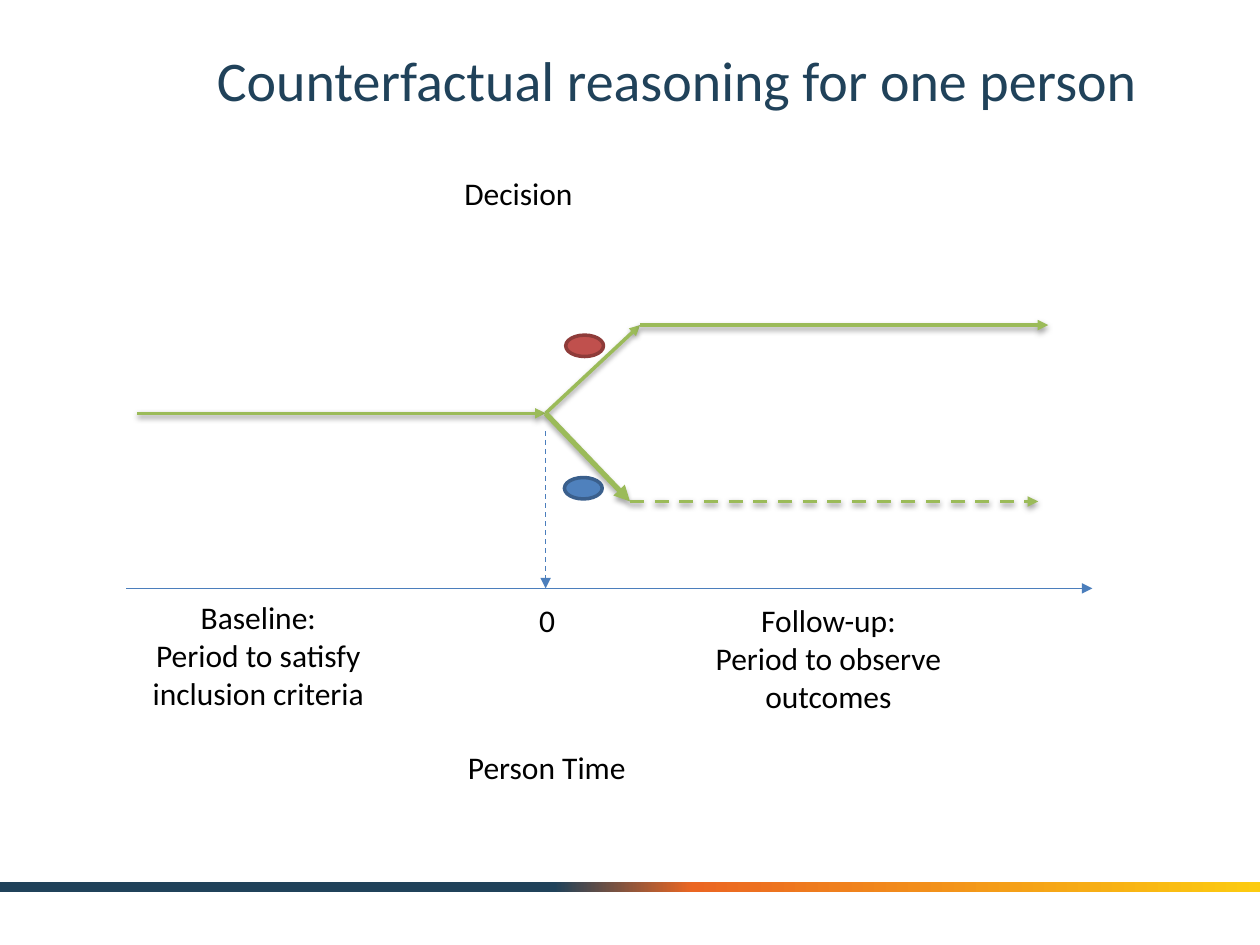
import pptx
import pptx.dml.color
import pptx.enum.dml
import pptx.enum.shapes
import pptx.enum.text
import pptx.oxml.ns
import pptx.util
from lxml import etree

Inches = pptx.util.Inches
Pt = pptx.util.Pt
SHAPE = pptx.enum.shapes.MSO_SHAPE
ALIGN = pptx.enum.text.PP_ALIGN
ANCHOR = pptx.enum.text.MSO_ANCHOR
DASH = pptx.enum.dml.MSO_LINE.DASH
NAVY, GREEN, BLUE = "20425A", "9BBB59", "4B7EBC"


def rgb(value):
    """Turn a hex string into a colour."""
    return pptx.dml.color.RGBColor.from_string(value)


def sub(parent, tag, **attrs):
    """Append a DrawingML element and return it."""
    return etree.SubElement(parent, pptx.oxml.ns.qn("a:" + tag),
                            {k: str(v) for k, v in attrs.items()})


def sub_color(parent, value, **changes):
    """Append a hex colour with optional changes such as alpha."""
    color = sub(parent, "srgbClr", val=value)
    for tag, val in changes.items():
        sub(color, tag, val=val)


def add_text(s, box, lines, size=18, color="000000", align=ALIGN.CENTER, anchor=ANCHOR.TOP):
    """Place a wrapped text box with one paragraph per line."""
    tf = s.shapes.add_textbox(*map(Inches, box)).text_frame
    tf.word_wrap = True
    tf.vertical_anchor = anchor
    tf.text = "\n".join(lines)
    for p in tf.paragraphs:
        p.alignment = align
        for r in p.runs:
            for key, val in {"name": "Calibri", "size": Pt(size)}.items():
                setattr(r.font, key, val)
            r.font.color.rgb = rgb(color)


def add_arrow(s, start, end, color, width, dash=None, shadow=None):
    """Draw an arrow, with a soft shadow if given its distance and alpha."""
    line = s.shapes.add_connector(pptx.enum.shapes.MSO_CONNECTOR.STRAIGHT,
                                  *map(Inches, (*start, *end)))
    line.line.color.rgb = rgb(color)
    line.line.width = Pt(width)
    if dash:
        line.line.dash_style = dash
    sp_pr = line._element.spPr
    sub(line.line._get_or_add_ln(), "tailEnd", type="triangle")
    effects = sub(sp_pr, "effectLst")
    if shadow:
        distance, alpha = shadow
        outer = sub(effects, "outerShdw", blurRad=Pt(3.1), dist=Pt(distance),
                    dir=5400000, rotWithShape=0)
        sub_color(outer, "000000", alpha=alpha * 1000)


def add_pill(s, x, y, fill, line):
    """Draw one outlined treatment pill."""
    sp = s.shapes.add_shape(SHAPE.OVAL, *map(Inches, (x, y, 0.3, 0.17)))
    sp.shadow.inherit = False
    sp.fill.solid()
    sp.fill.fore_color.rgb = rgb(fill)
    sp.line.color.rgb = rgb(line)
    sp.line.width = Pt(2)


def add_band(s, x, y, w, h):
    """Draw the gradient footer band."""
    sp = s.shapes.add_shape(SHAPE.RECTANGLE, *map(Inches, (x, y, w, h)))
    sp.shadow.inherit = False
    sp.line.fill.background()
    sp.fill.gradient()
    sp.fill.gradient_angle = 0
    stops = sp._element.spPr.find(".//" + pptx.oxml.ns.qn("a:gsLst"))
    stops.clear()
    for pos, color in ((44, NAVY), (55, "EB6622"), (100, "FCCB10")):
        sub_color(sub(stops, "gs", pos=pos * 1000), color)


def add_paths(s, x, y):
    """Draw the baseline path, its two branches and their pills."""
    mid = y + 0.7
    low = y + 1.4
    fork = (x + 3.24, mid)
    upper, lower = (x + 3.99, y), (x + 3.91, low)
    for start, end, width, dash, shadow in (
        ((x, mid), fork, 2, None, (1.6, 38)),
        (fork, upper, 2, None, (1.6, 38)),
        (fork, lower, 3, None, (1.8, 35)),
        (upper, (upper[0] + 3.24, y), 2, None, (1.6, 38)),
        (lower, (lower[0] + 3.24, low), 2, DASH, (1.6, 38)),
    ):
        add_arrow(s, start, end, GREEN, width, dash, shadow)
    add_pill(s, x + 3.4, y + 0.08, "C0504D", "8E3B39")
    add_pill(s, x + 3.39, y + 1.21, "4F81BD", "3A5F8C")


def add_timeline(s, x, y, w):
    """Draw the time axis, its zero marker and its labels."""
    zero = x + 3.33
    add_arrow(s, (x, y), (x + w, y), BLUE, 0.75)
    add_arrow(s, (zero, y - 1.25), (zero, y), BLUE, 0.75, DASH)
    add_text(s, (zero - 0.15, y + 0.05, 0.46, 0.4), ["0"], align=ALIGN.LEFT)
    add_text(s, (x + 0.09, y + 0.03, 1.92, 1.01),
             ["Baseline:", "Period to satisfy inclusion criteria"])
    add_text(s, (x + 4.47, y + 0.05, 2.21, 1.01),
             ["Follow-up:", "Period to observe outcomes"])
    add_text(s, (x + 2.38, y + 1.22, 1.92, 0.42), ["Person Time"])


def main():
    """Build and save the slide."""
    prs = pptx.Presentation()
    prs.slide_width, prs.slide_height = Inches(10), Inches(7.5)
    s = prs.slides.add_slide(prs.slide_layouts[6])
    add_band(s, 0, 7, 10, 0.08)
    add_text(s, (1.25, 0.17, 8.25, 0.92), ["Counterfactual reasoning for one person"],
             32, NAVY, anchor=ANCHOR.MIDDLE)
    add_text(s, (3.43, 1.33, 1.37, 0.4), ["Decision"])
    add_paths(s, 1.09, 2.58)
    add_timeline(s, 1, 4.67, 7.67)
    prs.save("out.pptx")


if __name__ == "__main__":
    main()
